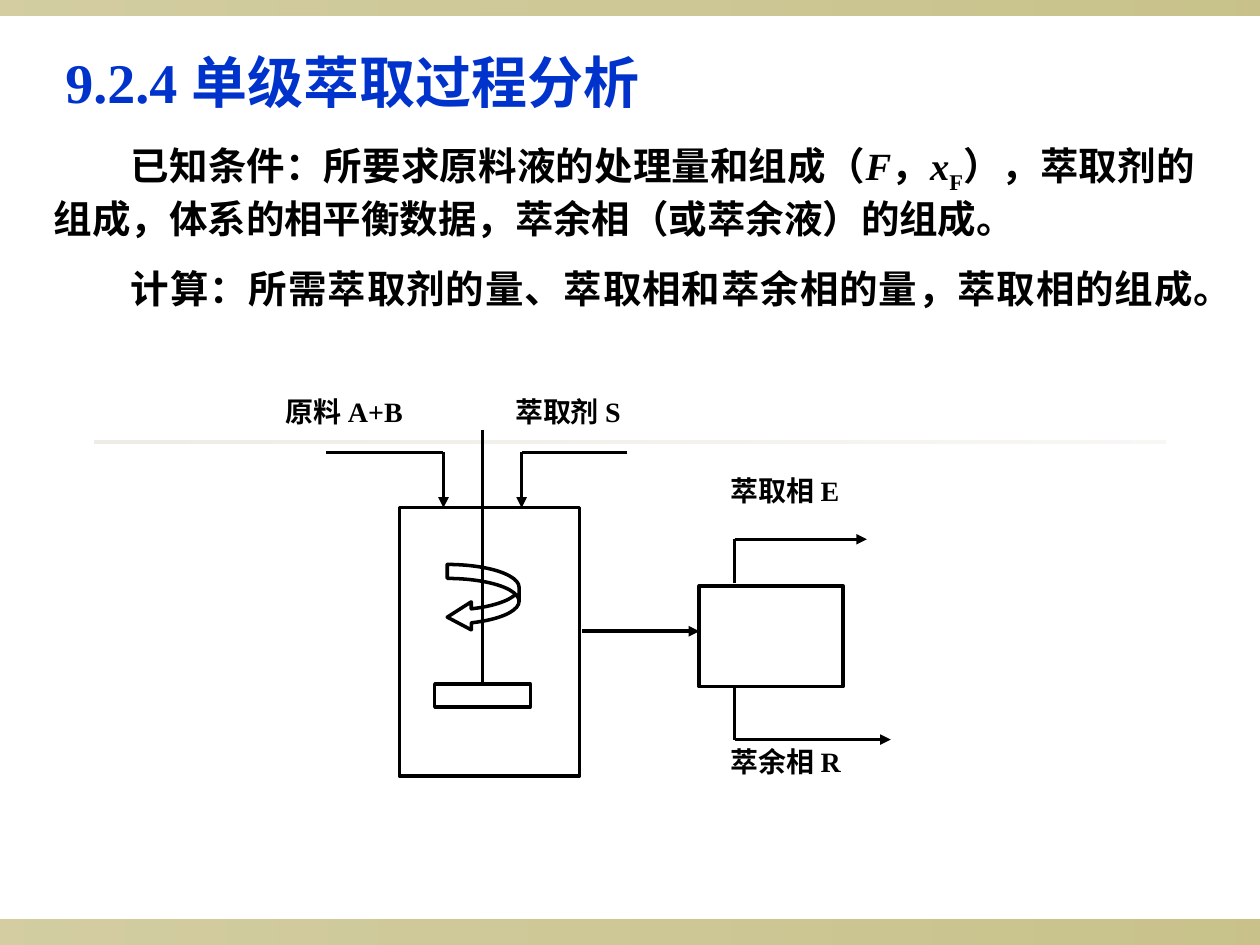
from pptx import Presentation
from pptx.dml.color import RGBColor
from pptx.enum.shapes import MSO_CONNECTOR, MSO_SHAPE
from pptx.enum.text import MSO_AUTO_SIZE, PP_ALIGN
from pptx.oxml.ns import qn
from pptx.util import Inches, Pt
from lxml import etree

RECT = MSO_SHAPE.RECTANGLE
STIR_ARROW = MSO_SHAPE.CURVED_LEFT_ARROW
STRAIGHT = MSO_CONNECTOR.STRAIGHT
JUSTIFY = PP_ALIGN.JUSTIFY
FIT = MSO_AUTO_SIZE.SHAPE_TO_FIT_TEXT
TOP = 0

FONT = "Times New Roman"
BLACK, BLUE, OLIVE, SAND = "000000", "0033CC", "918415", "DCD9CC"
WIDTH, HEIGHT = Inches(10), Inches(7.5)
COLUMNS, ROWS = 1000, 750


def color(hex_code):
    return RGBColor.from_string(hex_code)


def grid(*values):
    """Turn alternating column and row counts into slide lengths."""
    steps = (WIDTH / COLUMNS, HEIGHT / ROWS)
    return [round(value * steps[i % 2]) for i, value in enumerate(values)]


def add_band(slide, box, tint, opacities):
    """Add a borderless strip whose opacity changes from left to right."""
    band = slide.shapes.add_shape(RECT, *grid(*box))
    band.shadow.inherit = False
    band.line.fill.background()
    band.fill.gradient()
    band.fill.gradient_angle = 0
    for stop in band.fill.gradient_stops:
        stop.color.rgb = color(tint)
    tints = band.fill._xPr.iter(qn("a:srgbClr"))
    for element, opacity in zip(tints, opacities):
        etree.SubElement(element, qn("a:alpha"), val=str(opacity * 1000))


def add_outline(slide, kind, box):
    outline = slide.shapes.add_shape(kind, *grid(*box))
    outline.shadow.inherit = False
    outline.fill.background()
    outline.line.color.rgb = color(BLACK)
    outline.line.width = Pt(2)
    return outline


def add_pipe(slide, start, end, arrow=False):
    pipe = slide.shapes.add_connector(STRAIGHT, *grid(*start, *end))
    pipe.line.color.rgb = color(BLACK)
    pipe.line.width = Pt(2)
    etree.SubElement(pipe._element.spPr, qn("a:effectLst"))
    if arrow:
        etree.SubElement(pipe.line._get_or_add_ln(), qn("a:tailEnd"), type="triangle")
    return pipe


def add_text(slide, box, paragraphs, size=16, tint=BLACK, align=None, indent=0, gap=0):
    """Each paragraph is a list of (text, style), style being "", "italic" or "sub"."""
    textbox = slide.shapes.add_textbox(*grid(*box))
    frame = textbox.text_frame
    frame.word_wrap = True
    frame.auto_size = FIT
    for i, runs in enumerate(paragraphs):
        paragraph = frame.add_paragraph() if i else frame.paragraphs[0]
        paragraph.alignment = align
        if i:
            paragraph.space_before = Pt(gap)
        if indent:
            properties = paragraph._p.get_or_add_pPr()
            properties.set("marL", "0")
            properties.set("indent", str(grid(indent)[0]))
        for text, style in runs:
            run = paragraph.add_run()
            run.text = text
            font = run.font
            font.name, font.size, font.bold = FONT, Pt(size), True
            font.color.rgb = color(tint)
            if style == "italic":
                font.italic = True
            elif style == "sub":
                font._element.set("baseline", "-25000")


def add_diagram(slide):
    shaft = add_pipe(slide, (383, 341), (383, 543))
    add_outline(slide, RECT, (317, 403, 143, 213))  # mixer
    add_outline(slide, RECT, (555, 465, 114, 80))  # separator
    impeller = add_outline(slide, RECT, (345, 543, 76, 18))
    shaft.end_connect(impeller, TOP)

    for supply, inlet in ((259, 352), (498, 414)):
        add_pipe(slide, (supply, 359), (inlet, 359))
        add_pipe(slide, (inlet, 359), (inlet, 403), arrow=True)
    add_pipe(slide, (462, 501), (555, 501), arrow=True)
    for outlet, level, exit_column in ((463, 428, 688), (545, 587, 707)):
        add_pipe(slide, (583, outlet), (583, level))
        add_pipe(slide, (583, level), (exit_column, level), arrow=True)

    stirring = add_outline(slide, STIR_ARROW, (355, 448, 57, 53))
    for i, share in enumerate((0.21, 0.42, 0.36)):
        stirring.adjustments[i] = share

    for label, left, top, width in (
        ("原料 A+B", 217, 308, 183),
        ("萃取剂 S", 399, 308, 194),
        ("萃取相 E", 570, 371, 171),
        ("萃余相 R", 570, 586, 171),
    ):
        add_text(slide, (left, top, width, 37), [[(label, "")]])


def main():
    deck = Presentation()
    deck.slide_width, deck.slide_height = WIDTH, HEIGHT
    slide = deck.slides.add_slide(deck.slide_layouts[6])

    add_band(slide, (0, 730, COLUMNS, 20), OLIVE, (40, 50))
    add_band(slide, (0, 0, COLUMNS, 12), OLIVE, (40, 50))
    add_band(slide, (75, 350, 850, 2), SAND, (50, 20))

    known = [
        ("已知条件：所要求原料液的处理量和组成（", ""),
        ("F", "italic"),
        ("，", ""),
        ("x", "italic"),
        ("F", "sub"),
        ("），萃取剂的组成，体系的相平衡数据，萃余相（或萃余液）的组成。", ""),
    ]
    wanted = [("计算：所需萃取剂的量、萃取相和萃余相的量，萃取相的组成。", "")]
    add_text(slide, (33, 108, 925, 181), [known, wanted],
             size=22, align=JUSTIFY, indent=61, gap=13.8)
    add_text(slide, (42, 33, 600, 64), [[("9.2.4 单级萃取过程分析", "")]],
             size=32, tint=BLUE)
    add_diagram(slide)
    deck.save("out.pptx")


if __name__ == "__main__":
    main()
